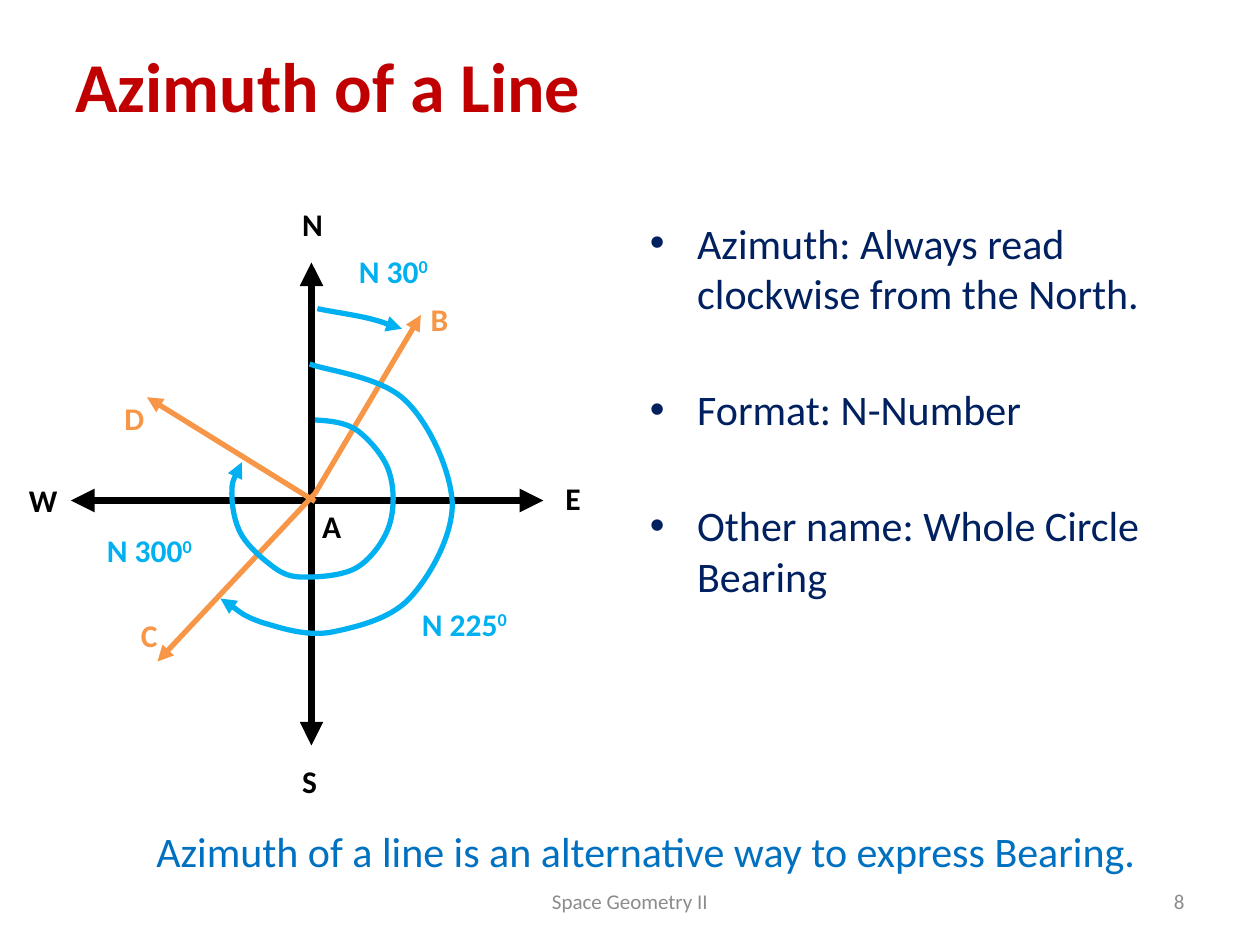
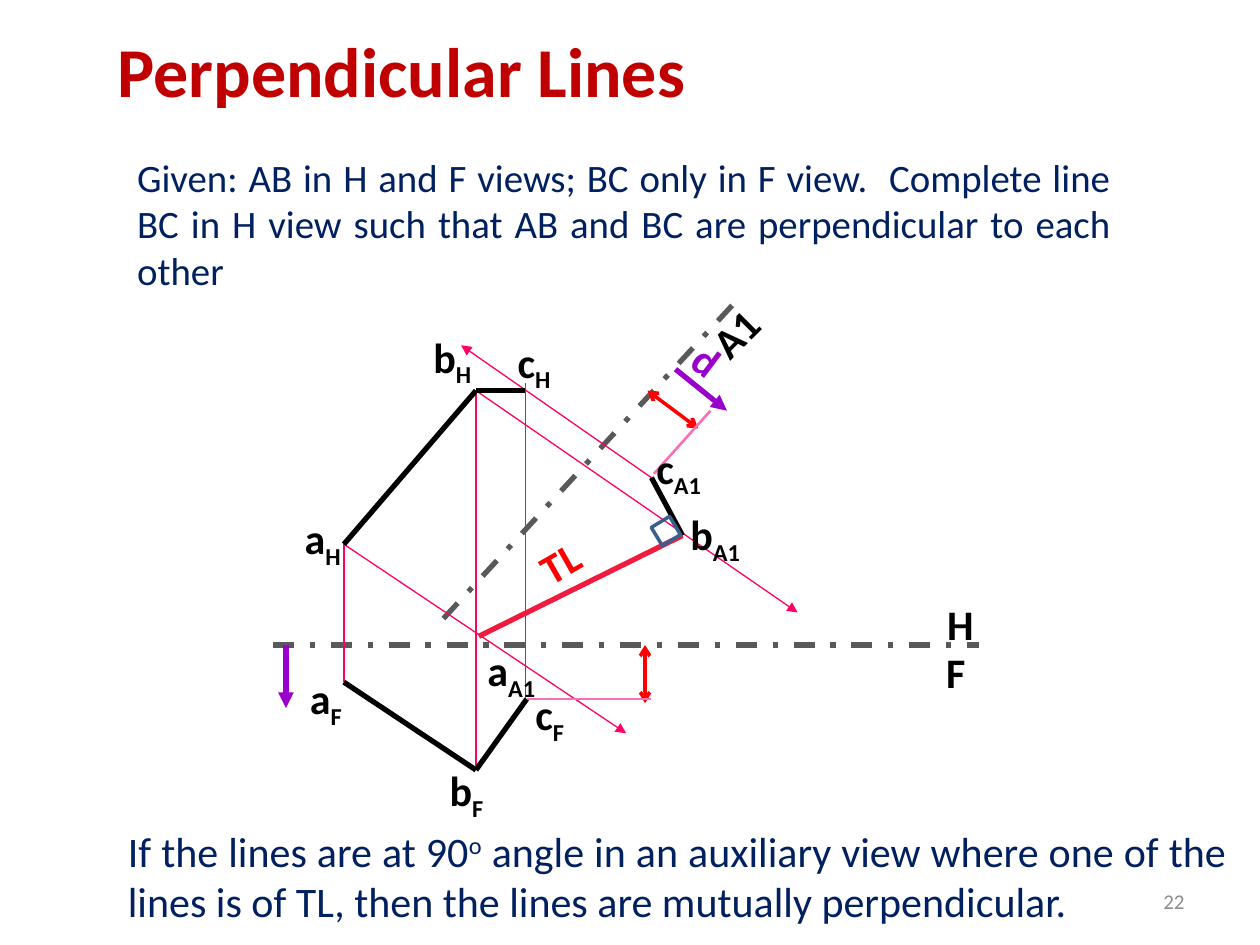
from lxml import etree
from pptx import Presentation
from pptx.dml.color import RGBColor
from pptx.enum import dml, shapes, text
from pptx.oxml.ns import qn
from pptx.util import Pt

FONT = "Calibri"
RED_TITLE = RGBColor(0xC0, 0x00, 0x00)
NAVY = RGBColor(0x00, 0x20, 0x60)
BLUE = RGBColor(0x00, 0x70, 0xC0)
SKY = RGBColor(0x00, 0xB0, 0xF0)
ORANGE = RGBColor(0xF7, 0x96, 0x46)
BLACK = RGBColor(0x00, 0x00, 0x00)
GREY = RGBColor(0x8C, 0x8C, 0x8C)
DARK_GREY = RGBColor(0x59, 0x59, 0x59)
MAGENTA = RGBColor(0xFF, 0x00, 0x66)
CRIMSON = RGBColor(0xF1, 0x1B, 0x3F)
PURPLE = RGBColor(0x99, 0x00, 0xCC)
RED = RGBColor(0xFF, 0x00, 0x00)
PINK = RGBColor(0xF6, 0x72, 0xB4)
STEEL = RGBColor(0x3A, 0x5F, 0x8C)

LEFT, CENTER = text.PP_ALIGN.LEFT, text.PP_ALIGN.CENTER
RIGHT, JUSTIFY = text.PP_ALIGN.RIGHT, text.PP_ALIGN.JUSTIFY
SUPERSCRIPT, SUBSCRIPT = 30000, -25000

AZIMUTH_TITLE = "Azimuth of a Line"
AZIMUTH_POINTS = [
    "Azimuth: Always read clockwise from the North.",
    "Format: N-Number",
    "Other name: Whole Circle Bearing",
]
AZIMUTH_CAPTION = "Azimuth of a line is an alternative way to express Bearing."
COURSE = "Space Geometry II"

COMPASS_AXES = [((40.5, 286), (310.5, 286)), ((178, 150), (178, 426))]
BEARING_LINES = [
    ((180, 282), (240.5, 180)),
    ((180, 282), (90, 378)),
    ((180, 286.5), (84, 227)),
]
AZIMUTH_ARCS = [
    [(181.4, 176.4), (192.2, 178.6), (203, 180), (211.7, 182.2),
     (219.6, 184.3), (224.6, 186.5), (229.7, 187.9)],
    [(177, 208), (186.5, 211.7), (218.2, 215.3), (231.8, 229),
     (245.5, 242), (257.8, 269.3), (258.5, 288),
     (258.5, 306.7), (245.5, 329.8), (234, 342),
     (222.5, 354.2), (202.3, 358.6), (188.6, 361.4),
     (174.2, 363.6), (159.8, 358.6), (149.8, 355.7),
     (139, 352), (131, 344.9), (126, 342)],
    [(180, 240), (188.6, 240.5), (197.3, 241.2), (204.5, 246.2),
     (211, 251.3), (219.6, 260.6), (222.5, 270),
     (225.4, 279.4), (225.4, 290.9), (222.5, 300.2),
     (219.6, 308.9), (212.4, 319), (204.5, 324),
     (196.6, 329), (182.2, 329.8), (174.2, 329.8),
     (166.3, 329.8), (162, 328.3), (156.2, 324),
     (150.5, 319.7), (142.6, 313.2), (138.2, 306),
     (133.9, 298.8), (132.5, 288.7), (132.5, 282.2),
     (132.5, 275), (135.4, 269.3), (138.2, 264.2)],
]
COMPASS_LABELS = [
    ("W", "", 9.4, 271.4, 28, BLACK),
    ("N", "", 165.6, 113.8, 26.6, BLACK),
    ("E", "", 316, 270, 23, BLACK),
    ("S", "", 165.6, 432, 23, BLACK),
    ("A", "", 177, 286, 25, BLACK),
    ("B", "", 239, 168, 24.5, ORANGE),
    ("C", "", 73.4, 348.5, 24.5, ORANGE),
    ("D", "", 73.4, 224.6, 26, ORANGE),
    ("N 30", "0", 198, 140.4, 70.6, SKY),
    ("N 225", "0", 234, 342, 83.5, SKY),
    ("N 300", "0", 54, 300, 83.5, SKY),
]
COMPASS_LABELS[7] = ("D", "", 64, 224.6, 26, ORANGE)

PERPENDICULAR_TITLE = "Perpendicular Lines"
GIVEN = ("Given: AB in H and F views; BC only in F view.  Complete line BC in H view "
         "such that AB and BC are perpendicular to each other")
CONCLUSION = [
    ("If the lines are at 90", 0),
    ("o", SUPERSCRIPT),
    (" angle in an auxiliary view where one of the lines is of TL, "
     "then the lines are mutually perpendicular.", 0),
]

A_H, B_H, C_H = (196.5, 311), (272, 223.2), (300.3, 223.2)
A_F, B_F, C_F = (196.5, 389.8), (272, 440), (301, 399.5)
A_A1, B_A1, C_A1 = (273.6, 363.6), (390, 306), (372.3, 273)

FOLD_LINES = [((156, 368.6), (559.4, 368.6)), ((253.4, 353.5), (422, 170.6))]
OBJECT_LINES = [(A_H, B_H), (B_H, C_H), (A_F, B_F), (B_F, C_F), (B_A1, C_A1)]
VERTICAL_PROJECTORS = [(A_F, A_H), (B_H, B_F), ((300.3, 219), (300.3, 399))]
AUXILIARY_PROJECTORS = [
    (A_H, (357.8, 419)),
    (B_H, (455.8, 350)),
    (C_A1, (263.5, 197.3)),
]
DISTANCE_D = [((163.4, 368.6), (163.4, 404.6)), ((386, 211), (415.4, 234.7))]
DISTANCE_C = [((368.6, 368.6), (368.6, 401.8)), ((370, 223.2), (399, 244.8))]
EXTENSIONS = [(C_F, (372.3, 399.5)), ((373.7, 270.7), (406, 234.7))]
VIEW_LABELS = [
    ("F", "", 533.5, 365.8, 26, BLACK, 0),
    ("H", "", 534.2, 338.4, 29.5, BLACK, 0),
    ("b", "H", 240.5, 185.8, 37.4, BLACK, 0),
    ("b", "F", 249.8, 433.4, 35.3, BLACK, 0),
    ("a", "H", 167, 289.4, 36.7, BLACK, 0),
    ("a", "F", 170, 380.9, 33.8, BLACK, 0),
    ("d", "", 391, 187.9, 27.4, PURPLE, 37),
    ("TL", "", 301.7, 303.1, 36.7, RED, 330.2),
    ("a", "A1", 271.4, 365, 44.6, BLACK, 0),
    ("b", "A1", 387.4, 287.3, 45.4, BLACK, 0),
    ("A1", "", 399.6, 172, 41.8, BLACK, 315),
    ("c", "F", 298.8, 390.2, 32.4, BLACK, 0),
    ("c", "A1", 368, 249.1, 42.5, BLACK, 0),
    ("c", "H", 288.7, 188.6, 34.6, BLACK, 0),
]


def style_runs(paragraph, size, color, bold=False):
    for run in paragraph.runs:
        run.font.name = FONT
        run.font.size = Pt(size)
        run.font.bold = bold
        run.font.color.rgb = color


def add_text(slide, box, runs, size, color, align=LEFT, bold=False, wrap=True):
    shape = slide.shapes.add_textbox(*map(Pt, box))
    frame = shape.text_frame
    frame.word_wrap = wrap
    if not wrap:
        frame.auto_size = text.MSO_AUTO_SIZE.SHAPE_TO_FIT_TEXT
    paragraph = frame.paragraphs[0]
    paragraph.alignment = align
    for words, baseline in runs:
        run = paragraph.add_run()
        run.text = words
        if baseline:
            run.font._rPr.set("baseline", str(baseline))
    style_runs(paragraph, size, color, bold)
    return shape


def add_label(slide, name, script, baseline, box, size, color):
    runs = [(name, 0)] + ([(script, baseline)] if script else [])
    return add_text(slide, box, runs, size, color, bold=True, wrap=False)


def add_bullets(slide, box, points, size, color, gap):
    frame = add_text(slide, box, [(points[0], 0)], size, color).text_frame
    for point in points[1:]:
        paragraph = frame.add_paragraph()
        paragraph.text = point
        paragraph.space_before = Pt(gap)
        style_runs(paragraph, size, color)
    for paragraph in frame.paragraphs:
        properties = paragraph._p.get_or_add_pPr()
        properties.set("marL", str(Pt(27)))
        properties.set("indent", str(-Pt(27)))
        etree.SubElement(properties, qn("a:buFont"), typeface="Arial")
        etree.SubElement(properties, qn("a:buChar"), char="•")


def set_line(line, color, width, head=None, tail=None):
    line.color.rgb = color
    line.width = Pt(width)
    for tag, kind in (("a:headEnd", head), ("a:tailEnd", tail)):
        if kind:
            etree.SubElement(line._get_or_add_ln(), qn(tag), type=kind)


def add_lines(slide, segments, color, width, head=None, tail=None, dash=None):
    for start, end in segments:
        connector = slide.shapes.add_connector(
            shapes.MSO_CONNECTOR.STRAIGHT, *map(Pt, start + end))
        if dash:
            connector.line.dash_style = dash
        set_line(connector.line, color, width, head, tail)
        etree.SubElement(connector._element.spPr, qn("a:effectLst"))


def add_arc(slide, points, color, width):
    start, *controls = [(Pt(x), Pt(y)) for x, y in points]
    builder = slide.shapes.build_freeform(*start)
    builder.add_line_segments(controls, close=False)
    shape = builder.convert_to_shape()
    outline = next(shape._element.iter(qn("a:path")))
    steps = outline.findall(qn("a:lnTo"))
    for index in range(0, len(steps), 3):
        curve = etree.SubElement(outline, qn("a:cubicBezTo"))
        for step in steps[index:index + 3]:
            curve.append(step[0])
            outline.remove(step)
    shape.fill.background()
    set_line(shape.line, color, width, tail="triangle")
    shape.shadow.inherit = False


def add_slide(presentation, title, title_box, number, footer=None):
    slide = presentation.slides.add_slide(presentation.slide_layouts[5])
    shape = slide.shapes.title
    shape.left, shape.top, shape.width, shape.height = map(Pt, title_box)
    frame = shape.text_frame
    frame.text = title
    frame.word_wrap = True
    frame.auto_size = text.MSO_AUTO_SIZE.NONE
    frame.vertical_anchor = text.MSO_ANCHOR.MIDDLE
    frame.paragraphs[0].alignment = LEFT
    style_runs(frame.paragraphs[0], 40, RED_TITLE, True)
    footers = [((516, 500.5, 168, 28.8), number, RIGHT)]
    if footer:
        footers.append(((246, 500.5, 228, 28.8), footer, CENTER))
    for box, words, align in footers:
        note = add_text(slide, box, [(words, 0)], 12, GREY, align)
        note.text_frame.vertical_anchor = text.MSO_ANCHOR.MIDDLE
    return slide


def build_azimuth(presentation):
    slide = add_slide(presentation, AZIMUTH_TITLE, (36, 6, 648, 84), "8", COURSE)
    add_bullets(slide, (364.3, 120.5, 319.7, 288), AZIMUTH_POINTS, 24, NAVY, 37.6)
    add_lines(slide, COMPASS_AXES, BLACK, 4.5, "triangle", "triangle")
    add_lines(slide, BEARING_LINES, ORANGE, 3, tail="triangle")
    for arc in AZIMUTH_ARCS:
        add_arc(slide, arc, SKY, 3)
    for name, script, left, top, width, color in COMPASS_LABELS:
        add_label(slide, name, script, SUPERSCRIPT, (left, top, width, 29), 18, color)
    add_text(slide, (54, 468, 630, 36), [(AZIMUTH_CAPTION, 0)], 24, BLUE, CENTER)


def build_perpendicular(presentation):
    slide = add_slide(presentation, PERPENDICULAR_TITLE, (60, 8.6, 648, 62), "22")
    add_text(slide, (71.3, 84.2, 571, 83.5), [(GIVEN, 0)], 22.2, NAVY, JUSTIFY)
    add_lines(slide, FOLD_LINES, DARK_GREY, 3, dash=dml.MSO_LINE.DASH_DOT)
    add_lines(slide, VERTICAL_PROJECTORS, MAGENTA, 0.75)
    add_lines(slide, AUXILIARY_PROJECTORS, MAGENTA, 0.75, tail="triangle")
    add_lines(slide, OBJECT_LINES, BLACK, 3)
    add_lines(slide, [(A_A1, B_A1)], CRIMSON, 3)
    add_lines(slide, DISTANCE_D, PURPLE, 3, tail="triangle")
    add_lines(slide, DISTANCE_C, RED, 2, "arrow", "arrow")
    add_lines(slide, EXTENSIONS, PINK, 1.5)
    for name, script, left, top, width, color, rotation in VIEW_LABELS:
        label = add_label(slide, name, script, SUBSCRIPT, (left, top, width, 36), 24, color)
        label.rotation = rotation
    add_text(slide, (66, 468, 642, 65.5), CONCLUSION, 24, NAVY, JUSTIFY)
    right_angle = slide.shapes.add_shape(
        shapes.MSO_SHAPE.RECTANGLE, *map(Pt, (374.4, 297.4, 12.2, 12.2)))
    right_angle.rotation = 59
    right_angle.fill.background()
    set_line(right_angle.line, STEEL, 2)
    right_angle.shadow.inherit = False


def main():
    presentation = Presentation()
    presentation.slide_width, presentation.slide_height = Pt(720), Pt(540)
    build_azimuth(presentation)
    build_perpendicular(presentation)
    presentation.save("out.pptx")


if __name__ == "__main__":
    main()
